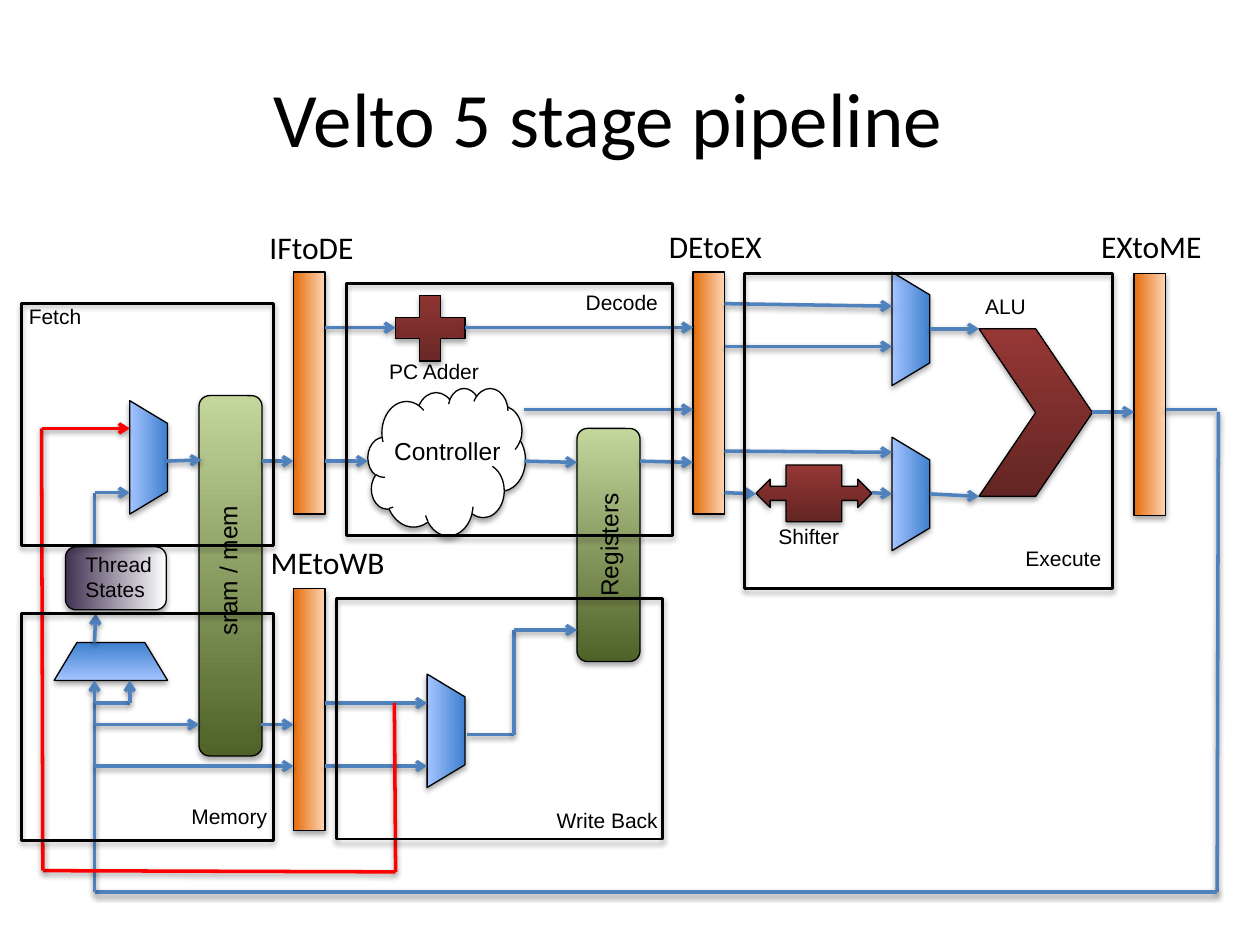
import dataclasses
import itertools
import typing

import lxml.etree
import pptx
import pptx.dml.color
import pptx.enum.dml
import pptx.enum.shapes
import pptx.enum.text
import pptx.oxml.ns
import pptx.util

Inches = pptx.util.Inches
Pt = pptx.util.Pt
Kind = pptx.enum.shapes.MSO_SHAPE
Point = tuple[float, float]

COLOURS = {
    "black": "000000", "white": "FFFFFF", "wire": "4F81BD", "forward": "FF0000",
    "orange": "E46C0A", "peach": "FCD5B5", "dark green": "4F6228", "light green": "C3D69B",
    "dark red": "632523", "light red": "953735", "dark blue": "3F80CE", "light blue": "A4C4FF",
    "purple": "403152",
}
LATCH = ("orange", "peach")
STORAGE = ("dark green", "light green")
LOGIC = ("dark red", "light red")
MUX = ("dark blue", "light blue")
MUX_SIZE = (0.9, 0.3)


@dataclasses.dataclass
class Block:
    kind: Kind
    left: float
    top: float
    width: float
    height: float
    fill: tuple[str, ...] = ()
    angle: float = 90
    rotation: float = 0
    line_width: float = 0.75


@dataclasses.dataclass
class Route:
    points: list[Point]
    arrow: bool = True
    colour: str = "wire"


@dataclasses.dataclass
class Label:
    text: str
    left: float
    top: float
    width: float
    height: float = 0.3
    size: float = 12
    font: str = "Arial"
    rotation: float = 0


def latch(left: float, top: float) -> Block:
    return Block(Kind.RECTANGLE, left, top, 0.25, 1.92, LATCH, angle=0)


def mux(left: float, top: float, rotation: float = 270) -> Block:
    return Block(Kind.FLOWCHART_MANUAL_OPERATION, left, top, *MUX_SIZE, MUX, rotation=rotation)


def stage(left: float, top: float, width: float, height: float) -> Block:
    return Block(Kind.RECTANGLE, left, top, width, height, line_width=1.5)


def latch_name(text: str, left: float, top: float, width: float) -> Label:
    return Label(text, left, top, width, 0.4, 18, "Calibri")


BLOCKS = [
    latch(2.33, 2.16), latch(2.33, 4.67), latch(5.5, 2.16), latch(9, 2.17),
    Block(Kind.ROUNDED_RECTANGLE, 1.58, 3.14, 0.5, 2.86, STORAGE),
    Block(Kind.CLOUD, 2.92, 3.08, 1.25, 1.17, ("white",)),
    Block(Kind.ROUNDED_RECTANGLE, 4.58, 3.4, 0.5, 1.85, STORAGE),
    Block(Kind.CHEVRON, 7.77, 2.61, 0.9, 1.33, LOGIC),
    Block(Kind.LEFT_RIGHT_ARROW_CALLOUT, 6, 3.69, 0.92, 0.45, LOGIC),
    Block(Kind.MATH_PLUS, 3.04, 2.25, 0.75, 0.71, LOGIC),
    mux(6.78, 3.77), mux(6.78, 2.46), mux(3.09, 5.65), mux(0.73, 3.48),
    mux(0.43, 5.1, rotation=180),
]
ROUTES = [
    Route([(2.08, 3.66), (2.33, 3.66)]),
    Route([(8.67, 3.27), (9, 3.27)]),
    Route([(7.38, 3.92), (7.77, 3.94)]),
    Route([(7.38, 2.61), (7.77, 2.61)]),
    Route([(5.75, 3.58), (7.08, 3.59)]),
    Route([(6.92, 3.91), (7.08, 3.92)]),
    Route([(5.75, 3.91), (6, 3.92)]),
    Route([(5.75, 2.41), (7.08, 2.43)]),
    Route([(5.75, 2.75), (7.08, 2.75)]),
    Route([(5.08, 3.66), (5.5, 3.67)]),
    Route([(3.69, 2.6), (5.5, 2.6)]),
    Route([(2.58, 2.6), (3.14, 2.6)]),
    Route([(2.58, 3.66), (2.92, 3.66)]),
    Route([(4.16, 3.66), (4.58, 3.67)]),
    Route([(4.16, 3.25), (5.5, 3.25)]),
    Route([(2.07, 5.75), (2.33, 5.75)]),
    Route([(1.32, 3.66), (1.6, 3.65)]),
    Route([(9.25, 3.25), (9.66, 3.25)], arrow=False),
    Route([(9.67, 3.27), (9.66, 7.08), (0.75, 7.08), (0.75, 5.58), (0.75, 5.4)]),
    Route([(0.75, 5.58), (1.03, 5.58), (1.03, 5.4)]),
    Route([(0.75, 5.75), (1.58, 5.75)]),
    Route([(0.75, 6.08), (2.33, 6.08)]),
    Route([(3.71, 5.83), (4.08, 5.83), (4.08, 5), (4.58, 5)]),
    Route([(2.58, 5.58), (3.39, 5.58)]),
    Route([(2.58, 6.08), (3.39, 6.08)]),
    Route([(0.75, 5.1), (0.76, 4.87)]),
    Route([(0.75, 4.61), (0.75, 3.91), (1.03, 3.91)]),
    Route([(3.13, 5.58), (3.14, 6.92), (0.34, 6.91), (0.33, 3.4), (1.03, 3.4)], colour="forward"),
]
FRONT_BLOCKS = [
    Block(Kind.ROUNDED_RECTANGLE, 0.52, 4.34, 0.8, 0.5, ("purple", "white"), angle=0),
    stage(0.17, 2.41, 2, 1.92), stage(2.75, 2.25, 2.59, 2), stage(5.91, 2.17, 2.92, 2.5),
    stage(0.17, 4.87, 2, 1.8), stage(2.67, 4.75, 2.59, 1.91),
]
LABELS = [
    latch_name("IFtoDE", 2.04, 1.76, 0.88), latch_name("DEtoEX", 5.21, 1.75, 0.95),
    latch_name("EXtoME", 8.64, 1.75, 1.01), latch_name("MEtoWB", 2.05, 4.26, 1.11),
    Label("sram / mem", 1.19, 4.35, 1.24, 0.34, 14, rotation=270),
    Label("Registers", 4.32, 4.15, 1.03, 0.34, 14, rotation=270),
    Label("Controller", 3.03, 3.41, 1.06, 0.34, 14),
    Label("PC Adder", 2.99, 2.8, 0.92),
    Label("Shifter", 6.08, 4.11, 0.69),
    Label("ALU", 7.72, 2.28, 0.54),
    Label("Thread\nStates", 0.58, 4.33, 0.74, 0.5),
    Label("Fetch", 0.13, 2.36, 0.62),
    Label("Decode", 4.55, 2.25, 0.78),
    Label("Execute", 8.04, 4.28, 0.81),
    Label("Memory", 1.42, 6.33, 0.81),
    Label("Write Back", 4.32, 6.36, 1.02),
]


def rgb(name: str) -> pptx.dml.color.RGBColor:
    return pptx.dml.color.RGBColor.from_string(COLOURS[name])


def add_child(parent: typing.Any, tag: str, **attributes: str) -> typing.Any:
    return lxml.etree.SubElement(parent, pptx.oxml.ns.qn(tag), attributes)


def add_shadow(effects: typing.Any, distance: int, opacity: int) -> None:
    """Cast a soft black shadow downwards; distance is in EMU, opacity in percent."""
    shadow = add_child(effects, "a:outerShdw", blurRad="40000", dist=str(distance),
                       dir="5400000", rotWithShape="0")
    colour = add_child(shadow, "a:srgbClr", val=COLOURS["black"])
    add_child(colour, "a:alpha", val=str(opacity * 1000))


def draw_block(slide: typing.Any, block: Block) -> None:
    bounds = map(Inches, (block.left, block.top, block.width, block.height))
    shape = slide.shapes.add_shape(block.kind, *bounds)
    shape.rotation = block.rotation
    if not block.fill:
        shape.fill.background()
    elif len(block.fill) == 1:
        shape.fill.solid()
        shape.fill.fore_color.rgb = rgb(block.fill[0])
    else:
        shape.fill.gradient()
        shape.fill.gradient_angle = block.angle
        for stop, name in zip(shape.fill.gradient_stops, block.fill):
            stop.color.rgb = rgb(name)
    shape.line.color.rgb = rgb("black")
    shape.line.width = Pt(block.line_width)
    shape.shadow.inherit = False
    add_shadow(shape.element.spPr.find(pptx.oxml.ns.qn("a:effectLst")), 23000, 35)


def draw_route(slide: typing.Any, route: Route) -> None:
    """Draw one connector per leg, with the arrowhead on the last leg only."""
    for start, end in itertools.pairwise(route.points):
        wire = slide.shapes.add_connector(pptx.enum.shapes.MSO_CONNECTOR.STRAIGHT,
                                          *map(Inches, start + end))
        wire.line.color.rgb = rgb(route.colour)
        wire.line.width = Pt(2)
        properties = wire.element.spPr
        if route.arrow and end == route.points[-1]:
            add_child(properties.find(pptx.oxml.ns.qn("a:ln")), "a:tailEnd", type="arrow")
        add_shadow(add_child(properties, "a:effectLst"), 20000, 38)


def draw_label(slide: typing.Any, label: Label, **frame_format: typing.Any) -> typing.Any:
    bounds = map(Inches, (label.left, label.top, label.width, label.height))
    box = slide.shapes.add_textbox(*bounds)
    box.rotation = label.rotation
    frame = box.text_frame
    frame.text = label.text
    for name, value in frame_format.items():
        setattr(frame, name, value)
    for para in frame.paragraphs:
        for name, value in {"name": label.font, "size": Pt(label.size)}.items():
            setattr(para.runs[0].font, name, value)
        para.runs[0].font.color.rgb = rgb("black")
    return box


def main() -> None:
    deck = pptx.Presentation()
    deck.slide_width, deck.slide_height = Inches(10), Inches(7.5)
    slide = deck.slides.add_slide(deck.slide_layouts[6])
    for block in BLOCKS:
        draw_block(slide, block)
    for route in ROUTES:
        draw_route(slide, route)
    for block in FRONT_BLOCKS:
        draw_block(slide, block)
    for label in LABELS:
        draw_label(slide, label, word_wrap=False,
                   auto_size=pptx.enum.text.MSO_AUTO_SIZE.SHAPE_TO_FIT_TEXT)
    title = Label("Velto 5 stage pipeline", 0.33, 0.3, 9, 1.25, 44, "Calibri")
    title_box = draw_label(slide, title, word_wrap=True,
                           vertical_anchor=pptx.enum.text.MSO_ANCHOR.MIDDLE)
    title_box.text_frame.paragraphs[0].alignment = pptx.enum.text.PP_ALIGN.CENTER
    deck.save("out.pptx")


if __name__ == "__main__":
    main()
